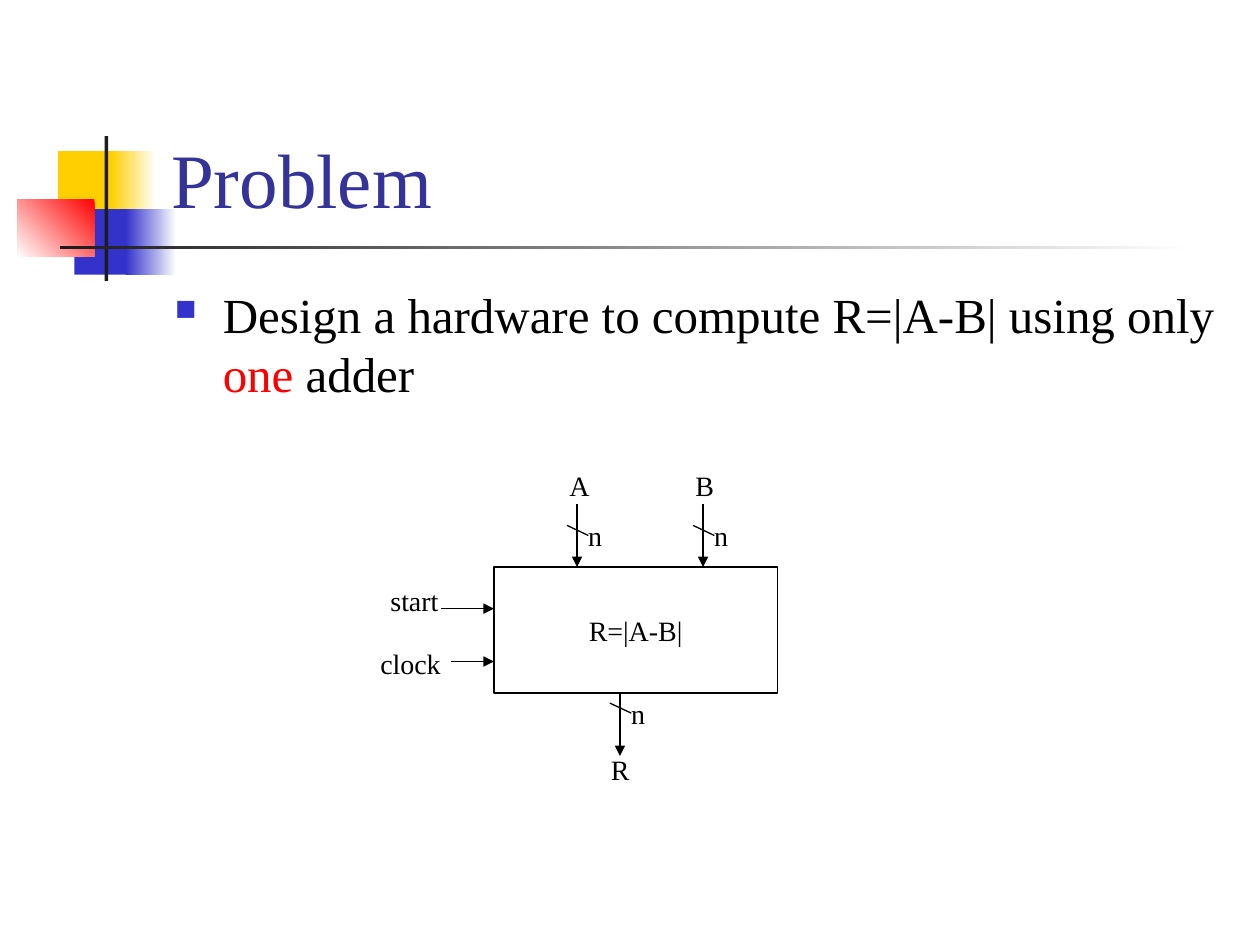
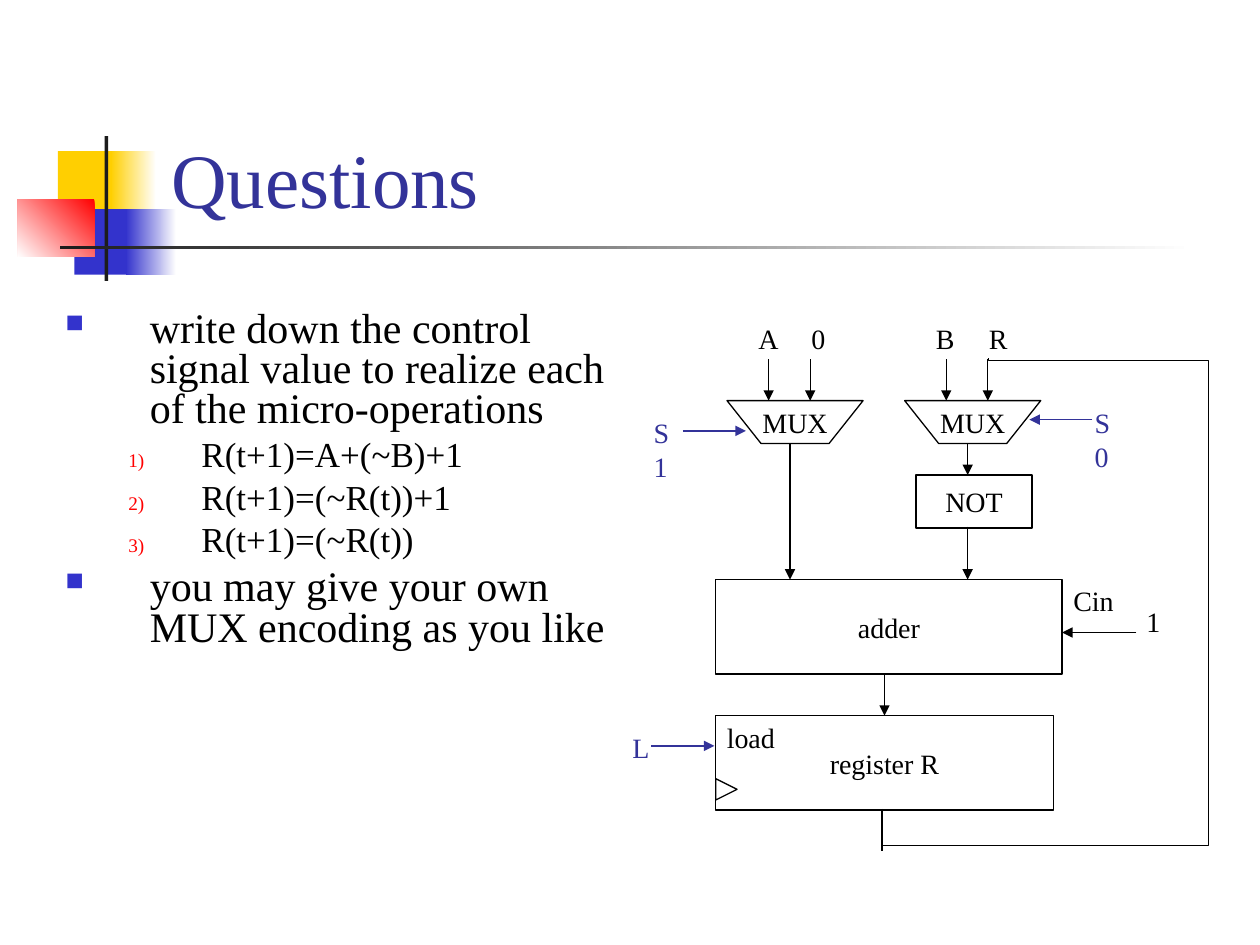
from dataclasses import dataclass

from lxml import etree
from pptx import Presentation
from pptx import util as u
from pptx.dml.color import RGBColor
from pptx.enum import shapes, text
from pptx.oxml.ns import qn

Inches, Pt = u.Inches, u.Pt
Shape = shapes.MSO_SHAPE
Connector = shapes.MSO_CONNECTOR


@dataclass(frozen=True)
class Theme:
    font: str = "Times New Roman"
    ink: str = "000000"
    signal: str = "333399"
    accent: str = "FF0000"
    yellow: str = "FFCF01"
    blue: str = "3333CC"
    bar: str = "1C1C1C"
    white: str = "FFFFFF"
    title_size: int = 44
    lead_size: int = 28
    body_size: int = 24
    item_size: int = 20
    label_size: int = 16
    line_width: float = 0.75


def apply(target, values):
    for name, value in values.items():
        setattr(target, name, value)


def add_xml(parent, tag, **attributes):
    return etree.SubElement(parent, qn(tag), attributes)


def points(*pairs):
    return [(Inches(x), Inches(y)) for x, y in pairs]


class Deck:
    def __init__(self, theme):
        self.theme = theme
        self.file = Presentation()
        apply(self.file, {"slide_width": Inches(10), "slide_height": Inches(7.5)})
        self.slide = None

    def new_slide(self, title):
        self.slide = self.file.slides.add_slide(self.file.slide_layouts[6])
        self.decorate()
        frame = self.text_box(1.26, 0.23, 8.52, 1.6)
        frame.vertical_anchor = text.MSO_ANCHOR.BOTTOM
        self.run(frame.paragraphs[0], title, self.theme.title_size, self.theme.signal)

    def decorate(self):
        """Draw the coloured squares and the two bars beside the title."""
        t = self.theme
        self.block(0.46, 1.2, 0.48, 0.52, t.yellow)
        self.block(0.88, 1.2, 0.36, 0.52, t.white, t.yellow)
        self.block(0.59, 1.66, 0.46, 0.52, t.blue)
        self.block(1, 1.66, 0.4, 0.52, t.white, t.blue)
        self.block(0.14, 1.58, 0.61, 0.46, t.accent, t.white, angle=225)
        self.block(0.83, 1.08, 0.03, 1.15, t.bar)
        self.block(0.48, 1.95, 9, 0.03, t.white, t.bar)

    def block(self, x, y, width, height, color, end_color=None, angle=180):
        """Draw a borderless rectangle; end_color makes it a gradient."""
        shape = self.preset(Shape.RECTANGLE, x, y, width, height)
        shape.line.fill.background()
        if end_color is None:
            shape.fill.solid()
            shape.fill.fore_color.rgb = RGBColor.from_string(color)
            return
        shape.fill.gradient()
        shape.fill.gradient_angle = angle
        for stop, value in zip(shape.fill.gradient_stops, (color, end_color)):
            stop.color.rgb = RGBColor.from_string(value)

    def preset(self, kind, x, y, width, height):
        shape = self.slide.shapes.add_shape(
            kind, Inches(x), Inches(y), Inches(width), Inches(height))
        shape.shadow.inherit = False
        return shape

    def text_box(self, x, y, width, height, wrap=True):
        box = self.slide.shapes.add_textbox(
            Inches(x), Inches(y), Inches(width), Inches(height))
        box.text_frame.word_wrap = wrap
        return box.text_frame

    def run(self, paragraph, words, size, color=None):
        run = paragraph.add_run()
        run.text = words
        apply(run.font, {"name": self.theme.font, "size": Pt(size)})
        run.font.color.rgb = RGBColor.from_string(color or self.theme.ink)

    def bullet(self, paragraph, left, hang, color, percent, numbered=False):
        props = paragraph._p.get_or_add_pPr()
        props.set("marL", str(Inches(left)))
        props.set("indent", str(-Inches(hang)))
        add_xml(add_xml(props, "a:buClr"), "a:srgbClr", val=color)
        add_xml(props, "a:buSzPct", val=str(percent * 1000))
        if numbered:
            add_xml(props, "a:buAutoNum", type="arabicParenR")
        else:
            add_xml(props, "a:buChar", char="■")

    def label(self, words, x, y, width, color=None):
        frame = self.text_box(x, y, width, 0.37, wrap=False)
        frame.auto_size = text.MSO_AUTO_SIZE.SHAPE_TO_FIT_TEXT
        self.run(frame.paragraphs[0], words, self.theme.label_size, color)

    def outline(self, shape, words=""):
        """Give a diagram part its thin border and centred caption."""
        shape.shadow.inherit = False
        shape.fill.background()
        self.stroke(shape.line, self.theme.ink)
        if words:
            frame = shape.text_frame
            apply(frame, {"word_wrap": False, "vertical_anchor": text.MSO_ANCHOR.MIDDLE})
            frame.paragraphs[0].alignment = text.PP_ALIGN.CENTER
            self.run(frame.paragraphs[0], words, self.theme.label_size)
        return shape

    def unit(self, words, x, y, width, height):
        return self.outline(self.preset(Shape.RECTANGLE, x, y, width, height), words)

    def stroke(self, line, color):
        line.width = Pt(self.theme.line_width)
        line.color.rgb = RGBColor.from_string(color)

    def wire(self, start, end, color=None, arrow=True, kind=Connector.STRAIGHT):
        (x1, y1), (x2, y2) = points(start, end)
        wire = self.slide.shapes.add_connector(kind, x1, y1, x2, y2)
        self.stroke(wire.line, color or self.theme.ink)
        props = wire.element.spPr
        if arrow:
            add_xml(props.find(qn("a:ln")), "a:tailEnd", type="triangle")
        add_xml(props, "a:effectLst")
        return wire

    def feedback(self, start, end, adjustments):
        """Draw a five-part elbow in a frame that is turned by 90 degrees."""
        wire = self.wire(start, end, arrow=False, kind=Connector.ELBOW)
        props = wire.element.spPr
        props.find(qn("a:xfrm")).set("rot", "5400000")
        geometry = props.find(qn("a:prstGeom"))
        geometry.set("prst", "bentConnector5")
        guides = geometry.find(qn("a:avLst"))
        if guides is None:
            guides = add_xml(geometry, "a:avLst")
        for number, value in enumerate(adjustments, 1):
            add_xml(guides, "a:gd", name=f"adj{number}", fmla=f"val {value}")

    def bus(self, x, top, slash_top):
        """Draw an arrow with the slash and the n that mark its width."""
        self.wire((x, top), (x, top + 0.5))
        self.wire((x - 0.08, slash_top), (x + 0.09, slash_top + 0.08), arrow=False)
        self.label("n", x - 0.01, slash_top - 0.1, 0.31)

    def mux(self, x, inputs):
        """Draw a multiplexer with its two (name, label width) inputs."""
        top, bottom = 3.18, 3.52
        first, *rest = points((x, top), (x + 1.08, top), (x + 0.81, bottom), (x + 0.27, bottom))
        builder = self.slide.shapes.build_freeform(*first)
        builder.add_line_segments(rest, close=True)
        self.outline(builder.convert_to_shape(), "MUX")
        for index, (name, width) in enumerate(inputs):
            input_x = x + 0.33 * (index + 1)
            self.wire((input_x, 2.85), (input_x, top))
            self.label(name, x + 0.15 + 0.42 * index, 2.5, width)


def problem_slide(deck):
    t = deck.theme
    deck.new_slide("Problem")
    task = deck.text_box(1.29, 2.21, 8.5, 1.04).paragraphs[0]
    deck.bullet(task, 0.38, 0.38, t.blue, 60)
    deck.run(task, "Design a hardware to compute R=|A-B| using only ", t.lead_size)
    deck.run(task, "one", t.lead_size, t.accent)
    deck.run(task, " adder", t.lead_size)

    deck.unit("R=|A-B|", 3.92, 4.5, 2.25, 1)
    for operand, x, width in (("A", 4.58, 0.36), ("B", 5.58, 0.35)):
        deck.bus(x, 4, 4.17)
        deck.label(operand, x - 0.16, 3.67, width)
    deck.bus(4.92, 5.5, 5.58)
    deck.label("R", 4.75, 5.92, 0.35)
    deck.wire((3.58, 5.25), (3.92, 5.25))
    deck.label("clock", 2.92, 5.08, 0.68)
    deck.wire((3.5, 4.83), (3.92, 4.83))
    deck.label("start", 3, 4.58, 0.58)


def question_list(deck):
    t = deck.theme
    questions = (
        (0, "write down the control signal value to realize each of the micro-operations"),
        (1, "R(t+1)=A+(~B)+1"),
        (1, "R(t+1)=(~R(t))+1"),
        (1, "R(t+1)=(~R(t))"),
        (0, "you may give your own MUX encoding as you like"),
    )
    levels = (
        {"size": t.body_size, "before": 6, "bullet": (0.67, 0.67, t.blue, 60)},
        {"size": t.item_size, "before": 5, "bullet": (1.08, 0.58, t.accent, 55, True)},
    )
    frame = deck.text_box(0.42, 2.42, 4.58, 2.83)
    for index, (level, words) in enumerate(questions):
        style = levels[level]
        paragraph = frame.add_paragraph() if index else frame.paragraphs[0]
        apply(paragraph, {"level": level, "line_spacing": 0.8,
                          "space_before": Pt(style["before"] if index else 0)})
        deck.bullet(paragraph, *style["bullet"])
        deck.run(paragraph, words, style["size"])


def datapath(deck):
    signal = deck.theme.signal
    deck.mux(5.77, (("A", 0.36), ("0", 0.31)))
    deck.mux(7.18, (("B", 0.35), ("R", 0.35)))
    deck.wire((6.27, 3.52), (6.27, 4.6))
    deck.wire((7.68, 3.52), (7.68, 3.77))
    deck.unit("NOT", 7.27, 3.77, 0.92, 0.42)
    deck.wire((7.68, 4.18), (7.68, 4.6))

    deck.unit("adder", 5.68, 4.6, 2.75, 0.75)
    deck.wire((9.02, 5.02), (8.43, 5.02))
    deck.label("Cin", 8.42, 4.58, 0.52)
    deck.label("1", 9, 4.75, 0.31)

    register = deck.unit("register R", 5.68, 5.68, 2.68, 0.75)
    deck.wire((7.02, 5.35), (7.02, 5.68)).end_connect(register, 0)
    clock_mark = deck.outline(deck.preset(Shape.ISOSCELES_TRIANGLE, 5.68, 6.18, 0.17, 0.17))
    clock_mark.rotation = 90
    deck.label("load", 5.67, 5.67, 0.58)
    deck.wire((7, 6.42), (7, 6.75), arrow=False)
    deck.feedback((5.47, 4.37), (9.37, 5.22), (400, -205500, 99200))

    controls = (
        ("L", (4.92, 5.75, 0.33), (5.17, 5.92), (5.67, 5.92)),
        ("S1", (5.09, 3.25, 0.43), (5.42, 3.42), (5.92, 3.42)),
        ("S0", (8.59, 3.17, 0.43), (8.67, 3.33), (8.17, 3.33)),
    )
    for name, place, start, end in controls:
        deck.wire(start, end, signal)
        deck.label(name, *place, color=signal)


def main():
    deck = Deck(Theme())
    problem_slide(deck)
    deck.new_slide("Questions")
    question_list(deck)
    datapath(deck)
    deck.file.save("out.pptx")


if __name__ == "__main__":
    main()
